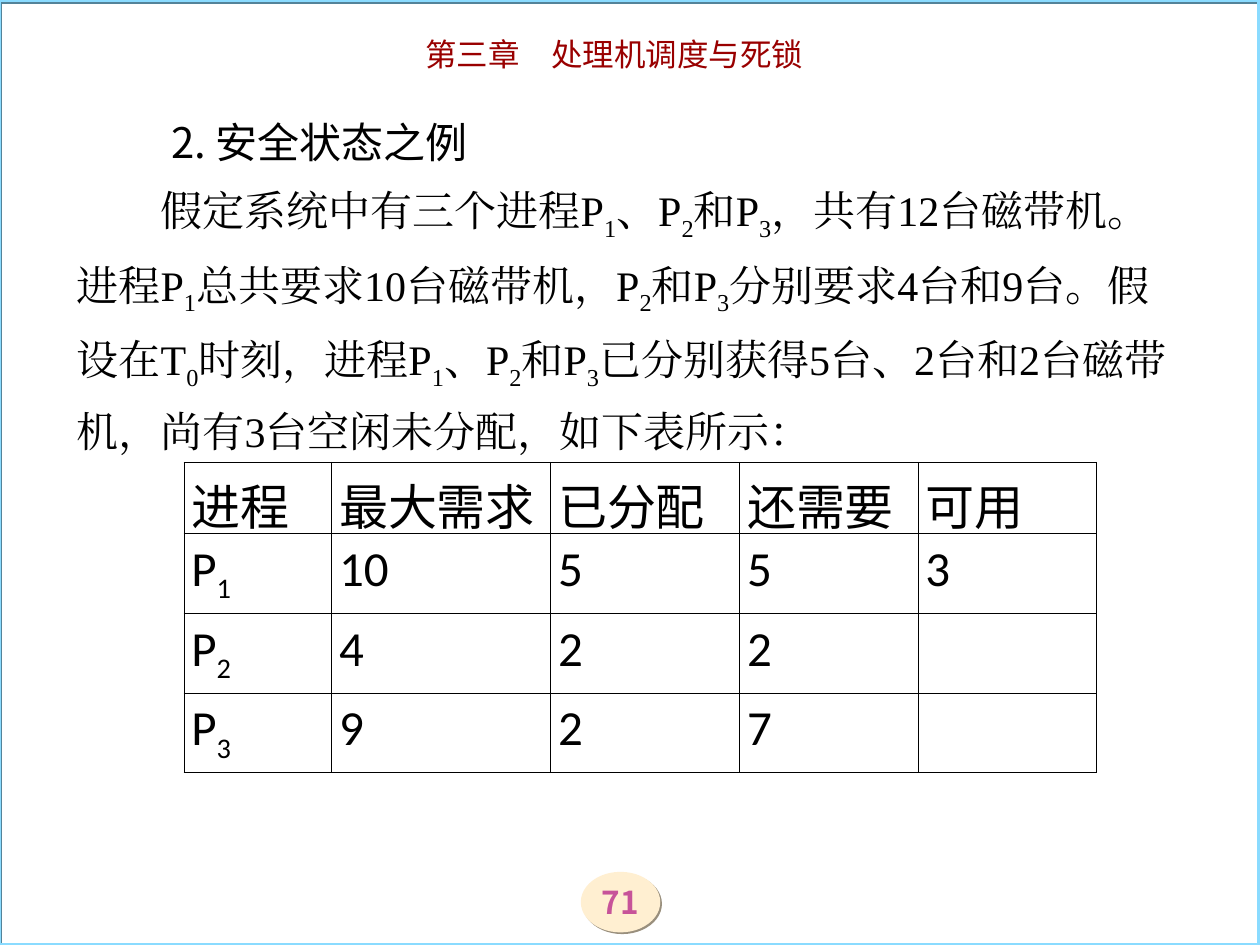
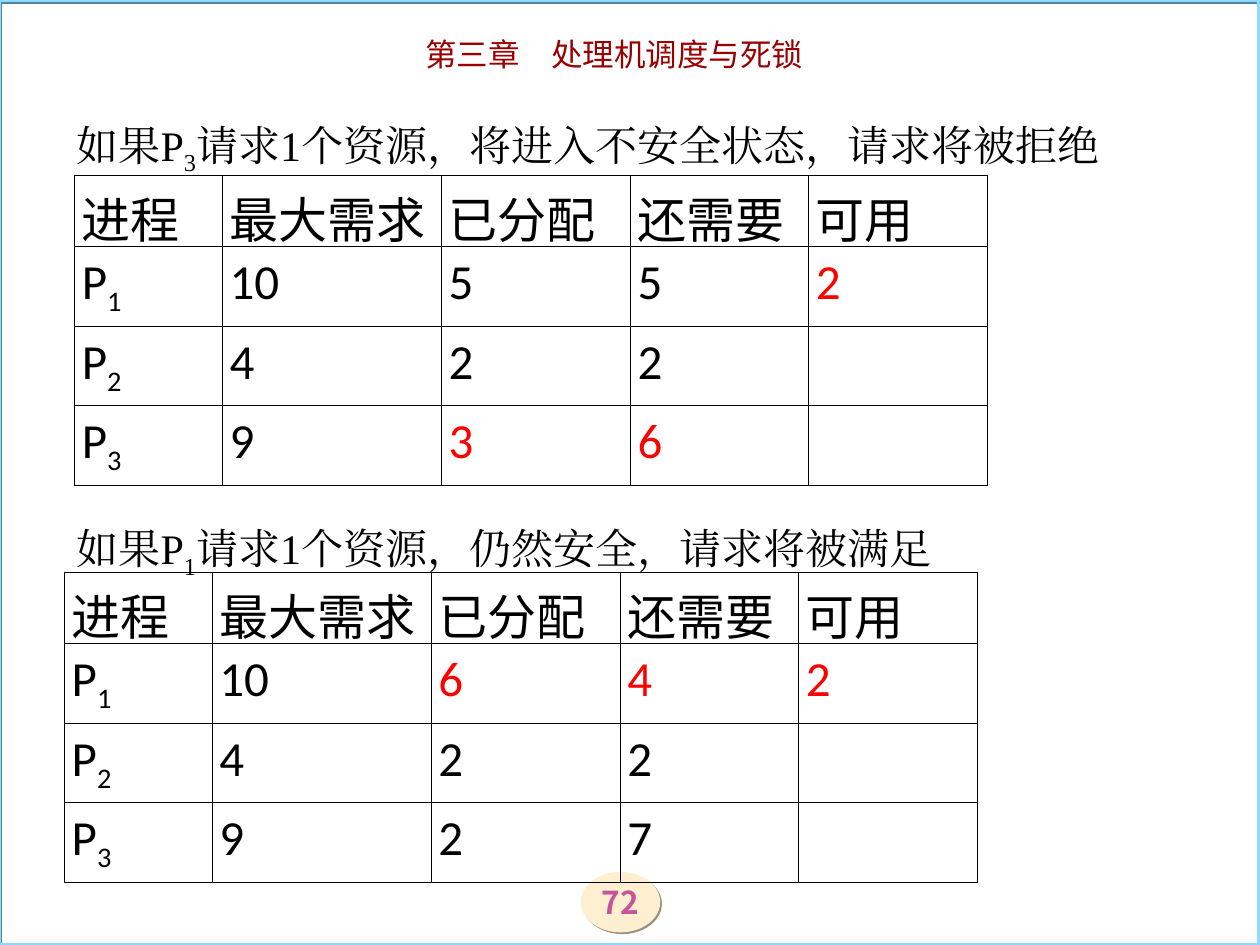
"""Builds two slides on a safe-state example for processor scheduling."""
from lxml.etree import SubElement
from pptx import Presentation
from pptx.dml.color import RGBColor
from pptx.enum.shapes import MSO_SHAPE as SHAPE
from pptx.enum.text import MSO_ANCHOR as ANCHOR, PP_ALIGN as ALIGN
from pptx.oxml import parse_xml
from pptx.oxml.ns import nsdecls, qn
from pptx.util import Pt

BLACK = RGBColor(0x00, 0x00, 0x00)
RED = RGBColor(0xFF, 0x00, 0x00)
CHAPTER_RED = RGBColor(0x99, 0x00, 0x00)
FRAME_BLUE = RGBColor(0x8A, 0xDB, 0xFF)
FRAME_SHADOW = RGBColor(0x53, 0x83, 0x99)
BADGE_CREAM = RGBColor(0xFF, 0xEF, 0xD1)
BADGE_SHADOW = RGBColor(0x99, 0x8F, 0x7D)
BADGE_PINK = RGBColor(0xC7, 0x53, 0x99)

SERIF = "Times New Roman"
SANS = "Calibri"
CJK_SC = "Noto Sans CJK SC"
CJK_JP = "Noto Sans CJK JP"

HEADERS = ["进程", "最大需求", "已分配", "还需要", "可用"]
COLUMN_WIDTHS = [84.4, 125.2, 108, 101.9, 102.2]
ROW_HEIGHT = 39.6


def style(p, name, size, color, ea=None, bold=False):
    """Set the font of a whole paragraph."""
    font = p.font
    font.name, font.size, font.bold = name, Pt(size), bold
    font.color.rgb = color
    if ea:
        latin = p._p.pPr.find(qn("a:defRPr")).find(qn("a:latin"))
        latin.addnext(parse_xml(f'<a:ea {nsdecls("a")} typeface="{ea}"/>'))


def write(p, text):
    """Add text in which an underscore makes the next character a subscript."""
    first, *rest = text.split("_")
    p.add_run().text = first
    for piece in rest:
        r = p.add_run()
        r.text = piece[0]
        r._r.get_or_add_rPr().set("baseline", "-25000")
        if piece[1:]:
            p.add_run().text = piece[1:]


def add_shadow(sp, color):
    """Give a shape a hard shadow to the lower right."""
    sp.shadow.inherit = False
    effects = sp._element.spPr.find(qn("a:effectLst"))
    shadow = SubElement(effects, qn("a:outerShdw"), dist=str(Pt(1.4)), dir="2700000")
    SubElement(shadow, qn("a:srgbClr"), val=str(color))


def add_badge(slide, number):
    """Draw the page number in an ellipse."""
    sp = slide.shapes.add_shape(SHAPE.OVAL, Pt(331.9), Pt(498.2), Pt(45.4), Pt(34.6))
    sp.fill.solid()
    sp.fill.fore_color.rgb = BADGE_CREAM
    sp.line.fill.background()
    add_shadow(sp, BADGE_SHADOW)
    tf = sp.text_frame
    tf.margin_left = tf.margin_right = tf.margin_top = tf.margin_bottom = 0
    tf.vertical_anchor = ANCHOR.MIDDLE
    p = tf.paragraphs[0]
    p.alignment = ALIGN.CENTER
    write(p, str(number))
    style(p, CJK_SC, 18, BADGE_PINK, CJK_SC, bold=True)


def add_frame(slide):
    """Draw the border round the slide."""
    sp = slide.shapes.add_shape(SHAPE.RECTANGLE, Pt(-0.7), 0, Pt(720), Pt(540))
    sp.fill.background()
    sp.line.color.rgb = FRAME_BLUE
    sp.line.width = Pt(2.25)
    add_shadow(sp, FRAME_SHADOW)


def add_text_box(slide, left, top, width, height):
    """Add a wrapping text box and return its text frame."""
    tf = slide.shapes.add_textbox(Pt(left), Pt(top), Pt(width), Pt(height)).text_frame
    tf.word_wrap = True
    return tf


def add_chapter(slide):
    """Add the chapter title at the top."""
    p = add_text_box(slide, 149.8, 16.6, 402.5, 28.8).paragraphs[0]
    p.alignment = ALIGN.CENTER
    write(p, "第三章　处理机调度与死锁")
    style(p, CJK_JP, 18, CHAPTER_RED, CJK_JP)


def add_body(slide, paragraphs):
    """Add body paragraphs given as text, font, first-line indent and space before."""
    tf = add_text_box(slide, 36.7, 54.7, 646.6, 436.3)
    for i, (text, name, indent, before) in enumerate(paragraphs):
        p = tf.add_paragraph() if i else tf.paragraphs[0]
        p.line_spacing = 1.3
        if before:
            p.space_before = Pt(before)
        p._p.get_or_add_pPr().set("indent", str(Pt(indent)))
        write(p, text)
        style(p, name, 24, BLACK, name)


def add_borders(cell):
    """Draw thin black lines on all sides of a cell."""
    tc_pr = cell._tc.get_or_add_tcPr()
    for i, side in enumerate(("lnL", "lnR", "lnT", "lnB")):
        tc_pr.insert(i, parse_xml(
            f'<a:{side} {nsdecls("a")} w="{Pt(0.45)}"><a:solidFill>'
            f'<a:srgbClr val="{BLACK}"/></a:solidFill></a:{side}>'))


def add_process_table(slide, left, top, rows, changed=()):
    """Add a resource table; changed lists the (row, column) cells shown in red."""
    grid = [HEADERS] + rows
    table = slide.shapes.add_table(
        len(grid), len(HEADERS), Pt(left), Pt(top),
        Pt(sum(COLUMN_WIDTHS)), Pt(ROW_HEIGHT * len(grid))).table
    table.first_row = table.horz_banding = False
    for column, width in zip(table.columns, COLUMN_WIDTHS):
        column.width = Pt(width)
    for i, values in enumerate(grid):
        table.rows[i].height = Pt(ROW_HEIGHT)
        for j, value in enumerate(values):
            cell = table.cell(i, j)
            cell.margin_left = cell.margin_right = Pt(4.3)
            cell.fill.background()
            add_borders(cell)
            if value:
                p = cell.text_frame.paragraphs[0]
                p.alignment = ALIGN.JUSTIFY
                write(p, value)
                style(p, SANS, 28, RED if (i, j) in changed else BLACK)


def add_slide(prs, number):
    """Add a slide with the shared badge, frame and chapter title."""
    slide = prs.slides.add_slide(prs.slide_layouts[6])
    add_badge(slide, number)
    add_frame(slide)
    add_chapter(slide)
    return slide


def main():
    """Build and save the presentation."""
    prs = Presentation()
    prs.slide_width, prs.slide_height = Pt(720), Pt(540)

    slide = add_slide(prs, 71)
    add_body(slide, [
        ("2. 安全状态之例", CJK_SC, 54, 0),
        ("假定系统中有三个进程P_1、P_2和P_3，共有12台磁带机。进程P_1总共要求10台磁带机，"
         "P_2和P_3分别要求4台和9台。假设在T_0时刻，进程P_1、P_2和P_3已分别获得5台、"
         "2台和2台磁带机，尚有3台空闲未分配，如下表所示：", SERIF, 48, 0),
    ])
    add_process_table(slide, 105.1, 264.2, [
        ["P_1", "10", "5", "5", "3"],
        ["P_2", "4", "2", "2", ""],
        ["P_3", "9", "2", "7", ""],
    ])

    slide = add_slide(prs, 72)
    add_body(slide, [
        ("如果P_3请求1个资源，将进入不安全状态，请求将被拒绝", SERIF, 0, 0),
        ("如果P_1请求1个资源，仍然安全，请求将被满足", SERIF, 0, 188),
    ])
    add_process_table(slide, 42.5, 100.1, [
        ["P_1", "10", "5", "5", "2"],
        ["P_2", "4", "2", "2", ""],
        ["P_3", "9", "3", "6", ""],
    ], changed={(1, 4), (3, 2), (3, 3)})
    add_process_table(slide, 36.7, 326.9, [
        ["P_1", "10", "6", "4", "2"],
        ["P_2", "4", "2", "2", ""],
        ["P_3", "9", "2", "7", ""],
    ], changed={(1, 2), (1, 3), (1, 4)})
    prs.save("out.pptx")


if __name__ == "__main__":
    main()
